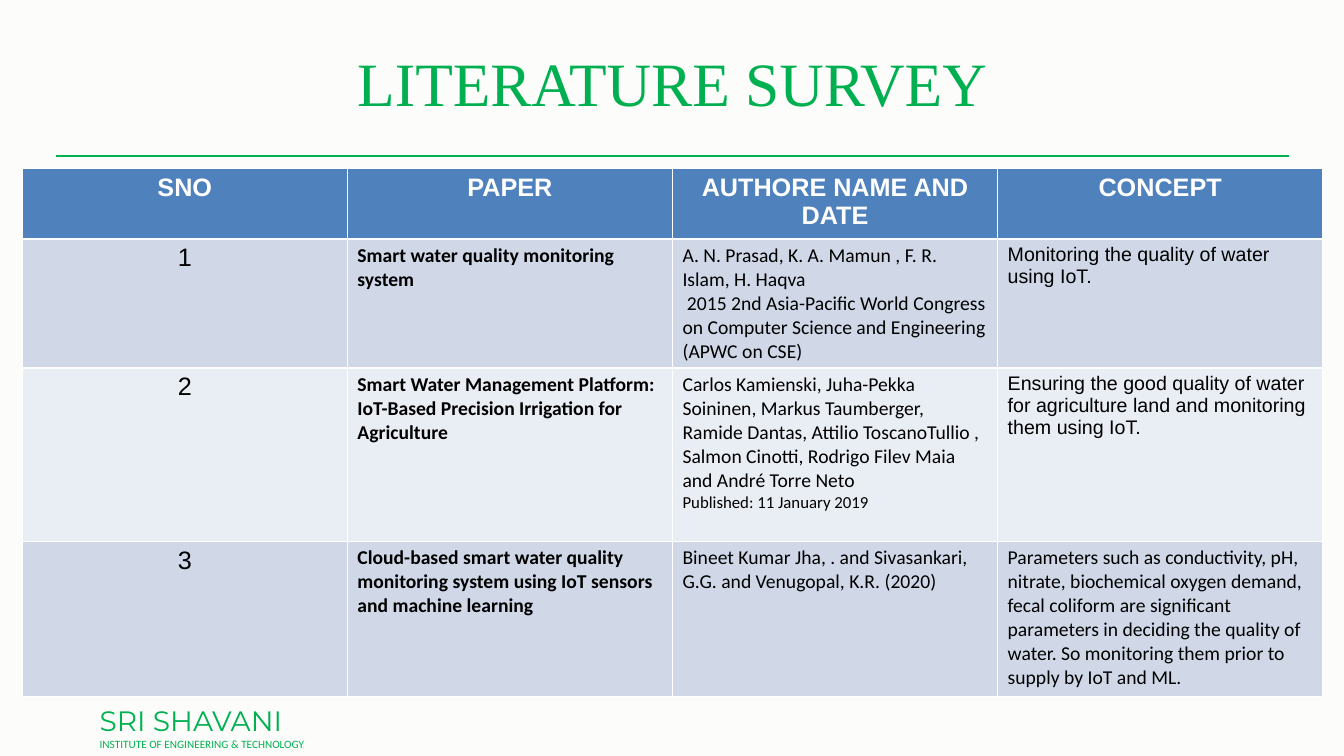
from dataclasses import dataclass

import pptx
import pptx.dml.color
import pptx.enum.shapes
import pptx.enum.text
import pptx.oxml
import pptx.util
from pptx.util import Inches


@dataclass(frozen=True)
class Theme:
    background: str = "FCFDFA"
    green: str = "00B050"
    header: str = "4F81BD"
    band_dark: str = "D0D8E8"
    band_light: str = "E9EDF4"
    white: str = "FFFFFF"
    black: str = "000000"
    title_size: int = 44
    institute_size: int = 20
    heading_size: int = 18
    body_size: int = 14
    date_size: int = 12
    tagline_size: int = 8
    rule_width: float = 1.5
    title_font: str = "Times New Roman"
    institute_font: str = "Montserrat"
    plain_font: str = "Arial"
    body_font: str = "Calibri"


THEME = Theme()
CENTER = pptx.enum.text.PP_ALIGN.CENTER
LEFT = pptx.enum.text.PP_ALIGN.LEFT

HEADINGS = ["SNO", "PAPER", "AUTHORE NAME AND DATE", "CONCEPT"]
PAPERS = [
    (
        "Smart water quality monitoring system",
        "A. N. Prasad, K. A. Mamun , F. R. Islam, H. Haqva\n"
        " 2015 2nd Asia-Pacific World Congress on Computer Science and Engineering (APWC on CSE)",
        "Monitoring the quality of water using IoT.",
    ),
    (
        "Smart Water Management Platform: IoT-Based Precision Irrigation for Agriculture",
        "Carlos Kamienski, Juha-Pekka Soininen, Markus Taumberger, Ramide Dantas, "
        "Attilio ToscanoTullio , Salmon Cinotti, Rodrigo Filev Maia and André Torre Neto\n"
        "Published: 11 January 2019",
        "Ensuring the good quality of water for agriculture land and monitoring them using IoT.",
    ),
    (
        "Cloud-based smart water quality monitoring system using IoT sensors and machine learning",
        "Bineet Kumar Jha, . and Sivasankari, G.G. and Venugopal, K.R. (2020)",
        "Parameters such as conductivity, pH, nitrate, biochemical oxygen demand, "
        "fecal coliform are significant parameters in deciding the quality of water. "
        "So monitoring them prior to supply by IoT and ML.",
    ),
]
ROW_HEIGHTS = [0.64, 1.28, 1.72, 1.54]


def rgb(value):
    return pptx.dml.color.RGBColor.from_string(value)


def style_paragraph(paragraph, size, font, color, bold=False, align=LEFT):
    paragraph.alignment = align
    for run in paragraph.runs:
        run.font.size = pptx.util.Pt(size)
        run.font.name = font
        run.font.bold = bold
        run.font.color.rgb = rgb(color)


def add_title(slide, left, top, width, height):
    title = slide.shapes.add_textbox(Inches(left), Inches(top), Inches(width), Inches(height))
    frame = title.text_frame
    frame.word_wrap = True
    frame.vertical_anchor = pptx.enum.text.MSO_ANCHOR.MIDDLE
    frame.text = "LITERATURE SURVEY"
    style_paragraph(frame.paragraphs[0], THEME.title_size, THEME.title_font, THEME.green, align=CENTER)


def add_rule(slide, left, top, width):
    rule = slide.shapes.add_connector(
        pptx.enum.shapes.MSO_CONNECTOR.STRAIGHT,
        Inches(left), Inches(top), Inches(left + width), Inches(top),
    )
    rule.line.color.rgb = rgb(THEME.green)
    rule.line.width = pptx.util.Pt(THEME.rule_width)
    properties = rule._element.spPr
    properties.append(pptx.oxml.parse_xml(
        '<a:effectLst xmlns:a="http://schemas.openxmlformats.org/drawingml/2006/main"/>'
    ))


def fill_cell(cell, text, fill, size, font, color=THEME.black, bold=False, align=LEFT):
    cell.fill.solid()
    cell.fill.fore_color.rgb = rgb(fill)
    cell.text_frame.text = text
    for paragraph in cell.text_frame.paragraphs:
        published = paragraph.text.startswith("Published")
        style_paragraph(paragraph, THEME.date_size if published else size, font, color, bold, align)


def add_survey(slide, left, top, width, height):
    survey = slide.shapes.add_table(
        len(PAPERS) + 1, len(HEADINGS), Inches(left), Inches(top), Inches(width), Inches(height)
    ).table
    for column in survey.columns:
        column.width = Inches(width / len(HEADINGS))
    for row, row_height in zip(survey.rows, ROW_HEIGHTS):
        row.height = Inches(row_height)
    for index, heading in enumerate(HEADINGS):
        fill_cell(survey.cell(0, index), heading, THEME.header, THEME.heading_size,
                  THEME.plain_font, THEME.white, True, CENTER)
    for number, (paper, authors, concept) in enumerate(PAPERS, 1):
        band = THEME.band_dark if number % 2 else THEME.band_light
        concept_font = THEME.body_font if number == len(PAPERS) else THEME.plain_font
        fill_cell(survey.cell(number, 0), str(number), band, THEME.heading_size,
                  THEME.plain_font, align=CENTER)
        fill_cell(survey.cell(number, 1), paper, band, THEME.body_size, THEME.body_font, bold=True)
        fill_cell(survey.cell(number, 2), authors, band, THEME.body_size, THEME.body_font)
        fill_cell(survey.cell(number, 3), concept, band, THEME.body_size, concept_font)


def add_institute(slide, left, top, width, height):
    institute = slide.shapes.add_textbox(Inches(left), Inches(top), Inches(width), Inches(height))
    frame = institute.text_frame
    frame.word_wrap = False
    frame.text = "SRI SHAVANI\nINSTITUTE OF ENGINEERING & TECHNOLOGY"
    name, tagline = frame.paragraphs
    style_paragraph(name, THEME.institute_size, THEME.institute_font, THEME.green)
    style_paragraph(tagline, THEME.tagline_size, THEME.body_font, THEME.green)


def build_survey_slide(deck):
    slide = deck.slides.add_slide(deck.slide_layouts[6])
    slide.background.fill.solid()
    slide.background.fill.fore_color.rgb = rgb(THEME.background)
    add_institute(slide, 0.89, 6.93, 2.26, 0.57)
    add_rule(slide, 0.56, 1.55, 12.22)
    add_title(slide, 0.67, 0.24, 12, 1.14)
    add_survey(slide, 0.22, 1.67, 12.9, sum(ROW_HEIGHTS))


def main():
    deck = pptx.Presentation()
    deck.slide_width = Inches(13.33)
    deck.slide_height = Inches(7.5)
    build_survey_slide(deck)
    deck.save("out.pptx")


if __name__ == "__main__":
    main()
